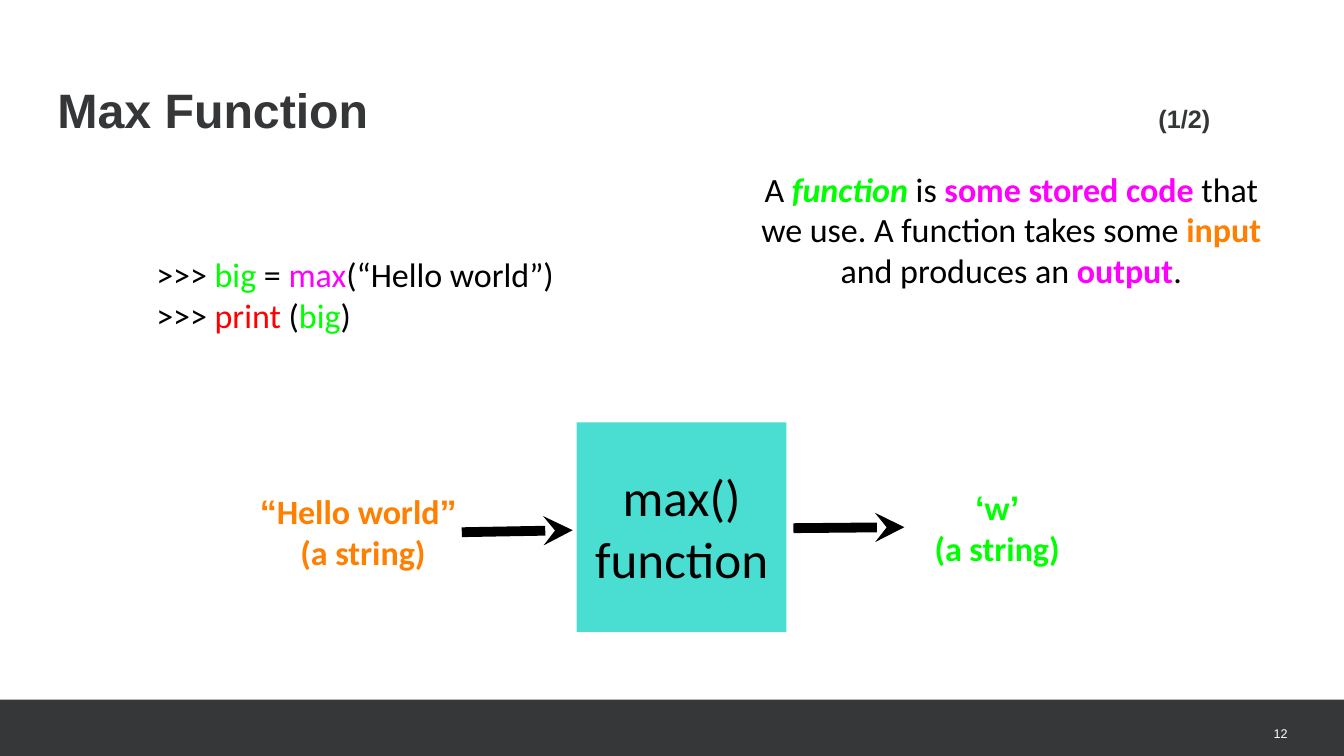
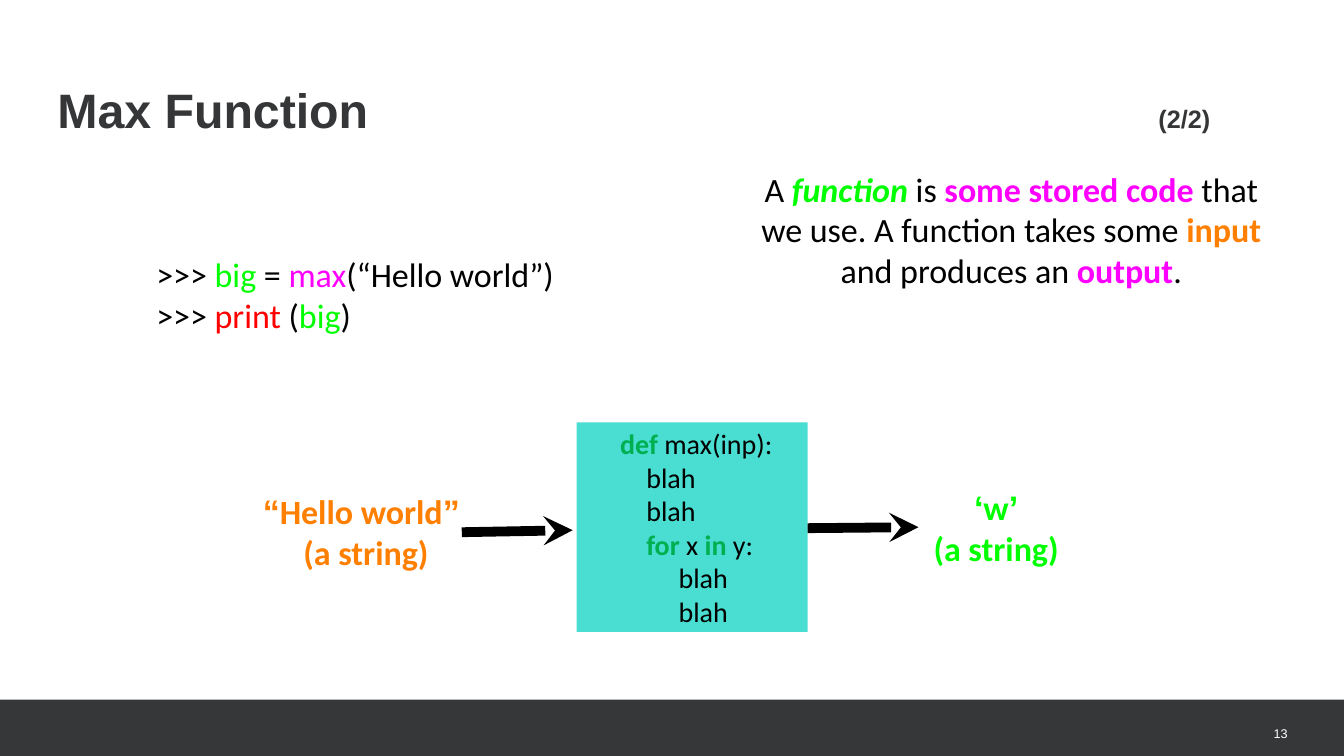
from lxml.etree import SubElement as sub
from pptx import Presentation
from pptx.dml.color import RGBColor
from pptx.enum.shapes import MSO_CONNECTOR as LINE, MSO_SHAPE as SHAPE
from pptx.enum.text import MSO_ANCHOR as ANCHOR, PP_ALIGN as ALIGN
from pptx.oxml.ns import qn
from pptx.util import Inches, Pt

WIDE, HIGH = 13.33, 7.5
BAND_TOP = 6.94
BLACK, WHITE, DARK, TEAL = "000000", "FFFFFF", "363738", "4ADDD1"
GREEN, PINK, ORANGE, RED, KEY = "00FF00", "FF00FF", "FF7F00", "FF0000", "00B050"
HEAD, BODY = "Arial", "Calibri"
BOX_LEFT, BOX_TOP, BOX_HIGH = 5.72, 4.19, 2.08

INTRO = [[
    "A ", ("function", dict(color=GREEN, bold=True, italic=True)),
    " is ", ("some stored code ", dict(color=PINK, bold=True)),
    "that we use. A function takes some ",
    ("input", dict(color=ORANGE, bold=True)),
    " and produces an ", ("output", dict(color=PINK, bold=True)), ".",
]]
SHELL = [
    [">>> ", ("big", dict(color=GREEN)), " = ", ("max", dict(color=PINK)),
     "(“Hello world”)"],
    [">>> ", ("print", dict(color=RED)), " (", ("big", dict(color=GREEN)), ")"],
]
QUOTE, WORD = dict(font=HEAD), dict(color=KEY, bold=True)
INPUT = [[("“", QUOTE), "Hello world", ("” ", QUOTE)], ["(a string)"]]
OUTPUT = [[("‘", QUOTE), "w", ("’", QUOTE)], ["(a string)"]]
CALL = [["max()"], ["function"]]
CODE = [
    [("def ", WORD), "max(inp):"],
    ["blah"],
    ["blah"],
    [("for", WORD), " x ", ("in", WORD), " y:"],
    ["blah"],
    ["blah"],
]
STEPS = [0.43, 0.69, 0.69, 0.69, 1.01, 1.01]


def rgb(code):
    return RGBColor.from_string(code)


def style(run, size, font, color, bold=False, italic=False):
    face = run.font
    face.size, face.name = Pt(size), font
    face.bold, face.italic = bold, italic
    face.color.rgb = rgb(color)


def write(shape, paras, align=ALIGN.LEFT, anchor=ANCHOR.MIDDLE, wrap=True,
          space=None, indents=(), **base):
    """Fill a shape; a run is a string or a (string, own format) pair."""
    frame = shape.text_frame
    frame.margin_left = frame.margin_right = 0
    frame.margin_top = frame.margin_bottom = 0
    frame.word_wrap, frame.vertical_anchor = wrap, anchor
    base = dict(size=24.3, font=BODY, color=BLACK) | base
    for i, runs in enumerate(paras):
        para = frame.add_paragraph() if i else frame.paragraphs[0]
        para.alignment = align
        if space:
            para.line_spacing = Pt(space)
        if indents:
            para._p.get_or_add_pPr().set("marL", str(Inches(indents[i])))
        for item in runs:
            words, own = (item, {}) if isinstance(item, str) else item
            run = para.add_run()
            run.text = words
            style(run, **(base | own))


def text(slide, spot, paras, **fmt):
    shape = slide.shapes.add_textbox(*map(Inches, spot))
    write(shape, paras, **fmt)
    return shape


def block(slide, spot, fill):
    shape = slide.shapes.add_shape(SHAPE.RECTANGLE, *map(Inches, spot))
    shape.shadow.inherit = False
    shape.fill.solid()
    shape.fill.fore_color.rgb = rgb(fill)
    shape.line.fill.background()
    return shape


def arrow(slide, left, top, rise):
    ends = left, top, left + 1.1, top - rise
    link = slide.shapes.add_connector(LINE.STRAIGHT, *map(Inches, ends))
    link.line.width = Pt(7)
    link.line.color.rgb = rgb(BLACK)
    sub(link.line._get_or_add_ln(), qn("a:tailEnd"), type="stealth")
    sub(link._element.spPr, qn("a:effectLst"))


def title(slide, name, part):
    """Write the heading, with the part count at a tab stop."""
    shape = text(slide, (0.57, 0.92, 12.03, 0.79),
                 [[name, ("\t" + part, dict(size=18))]], anchor=ANCHOR.TOP,
                 space=32.5, size=34.5, font=HEAD, color="353637", bold=True)
    props = shape.text_frame.paragraphs[0]._p.get_or_add_pPr()
    tabs = sub(props, qn("a:tabLst"))
    sub(tabs, qn("a:tab"), pos=str(Inches(10.92)), algn="l")


def base(deck, part, number):
    """Add a slide with all that the slides share."""
    slide = deck.slides.add_slide(deck.slide_layouts[6])
    block(slide, (0, BAND_TOP, WIDE, HIGH - BAND_TOP), DARK)
    text(slide, (12.22, BAND_TOP, 0.55, 0.55), [[str(number)]],
         align=ALIGN.RIGHT, space=19, size=9, font=HEAD, color=WHITE)
    title(slide, "Max Function", part)
    text(slide, (1.55, 2.51, 4.22, 0.82), SHELL, wrap=False)
    text(slide, (7.46, 1.47, 5.14, 1.61), INTRO, align=ALIGN.CENTER)
    return slide


def flow(slide, wide, gap, in_left, out_left, paras, **fmt):
    """Draw input, function box and output, joined by arrows."""
    box = block(slide, (BOX_LEFT, BOX_TOP, wide, BOX_HIGH), TEAL)
    write(box, paras, **fmt)
    arrow(slide, 4.58, 5.28, 0.02)
    arrow(slide, BOX_LEFT + wide + gap, 5.24, 0.01)
    side = dict(align=ALIGN.CENTER, wrap=False, bold=True)
    text(slide, (in_left, 4.86, 2.06, 0.82), INPUT, color=ORANGE, **side)
    text(slide, (out_left, 4.82, 1.26, 0.82), OUTPUT, color=GREEN, **side)


def main():
    deck = Presentation()
    deck.slide_width, deck.slide_height = Inches(WIDE), Inches(HIGH)
    flow(base(deck, "(1/2)", 12), 2.08, 0.07, 2.57, 9.26, CALL,
         align=ALIGN.CENTER, size=36.5)
    flow(base(deck, "(2/2)", 13), 2.29, 0, 2.6, 9.25, CODE,
         indents=STEPS, size=20)
    deck.save("out.pptx")


if __name__ == "__main__":
    main()
